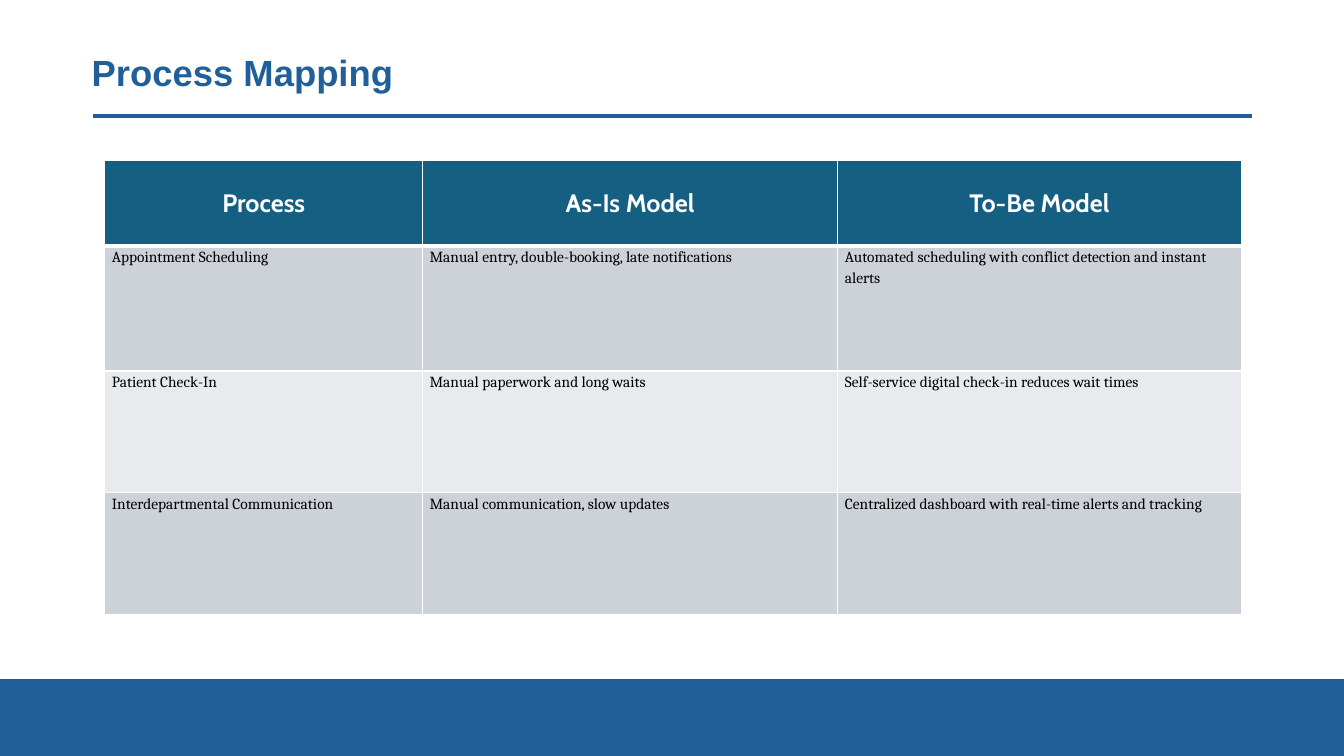
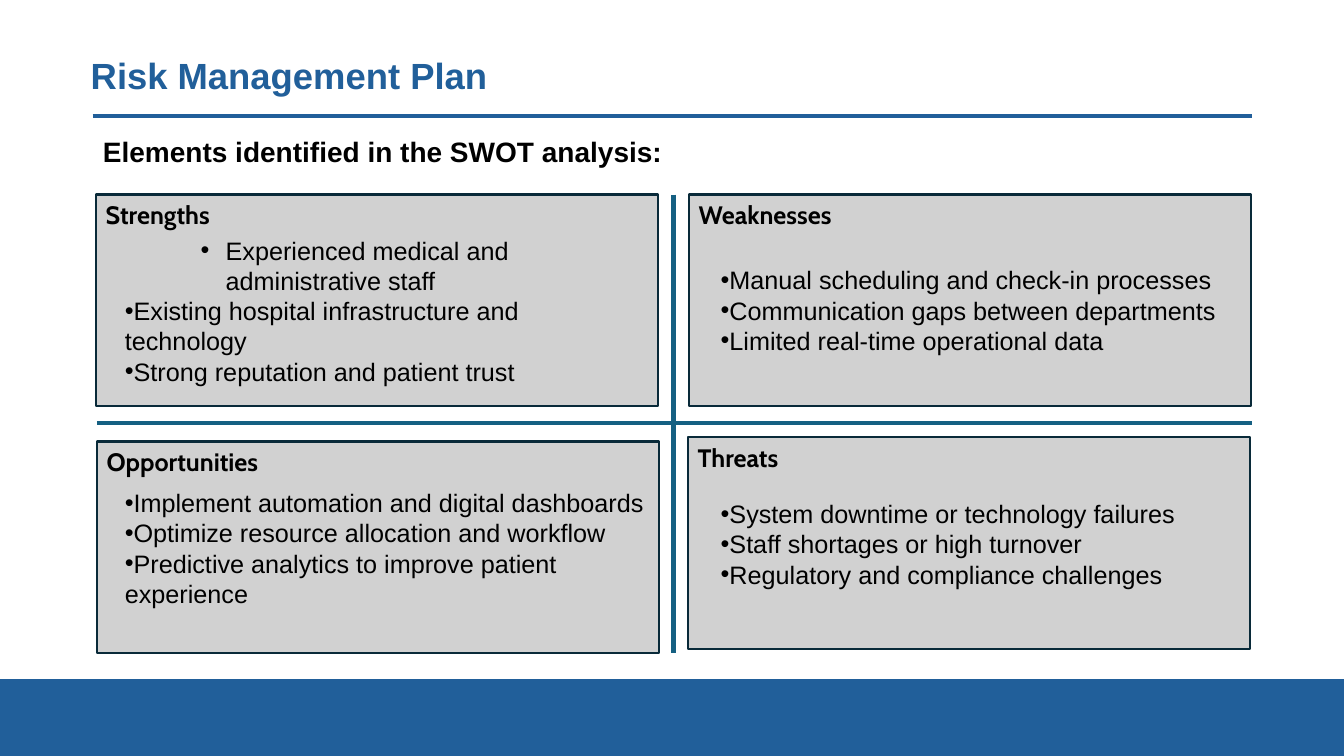
from lxml.etree import SubElement
from pptx import Presentation
from pptx.dml.color import RGBColor
from pptx.enum.shapes import MSO_CONNECTOR, MSO_SHAPE
from pptx.enum.text import MSO_ANCHOR, MSO_AUTO_SIZE, PP_ALIGN
from pptx.oxml.ns import qn
from pptx.util import Inches, Pt

BLUE = RGBColor(0x21, 0x5F, 0x9A)
TEAL = RGBColor(0x15, 0x60, 0x82)
NAVY = RGBColor(0x09, 0x2A, 0x39)
GRAY = RGBColor(0xD1, 0xD1, 0xD1)
ROW_DARK = RGBColor(0xCC, 0xD2, 0xD8)
ROW_LIGHT = RGBColor(0xE8, 0xEA, 0xED)
WHITE = RGBColor(0xFF, 0xFF, 0xFF)
BLACK = RGBColor(0x00, 0x00, 0x00)

TITLE_AND_BODY, TITLE_ONLY = 1, 5

PROCESSES = [
    ("Process", "As-Is Model", "To-Be Model"),
    ("Appointment Scheduling", "Manual entry, double-booking, late notifications",
     "Automated scheduling with conflict detection and instant alerts"),
    ("Patient Check-In", "Manual paperwork and long waits",
     "Self-service digital check-in reduces wait times"),
    ("Interdepartmental Communication", "Manual communication, slow updates",
     "Centralized dashboard with real-time alerts and tracking"),
]

# Each entry: heading, panel corner, list box within the panel, items, whether the first item is indented.
SWOT = [
    ("Strengths", (0.95, 1.93), (0.19, 0.34, 5.18, 1.62),
     ["Experienced medical and administrative staff",
      "Existing hospital infrastructure and technology",
      "Strong reputation and patient trust"], True),
    ("Opportunities", (0.96, 4.38), (0.18, 0.4, 5.54, 1.31),
     ["Implement automation and digital dashboards",
      "Optimize resource allocation and workflow",
      "Predictive analytics to improve patient experience"], False),
    ("Weaknesses", (6.83, 1.93), (0.22, 0.64, 5.16, 1.01),
     ["Manual scheduling and check-in processes",
      "Communication gaps between departments",
      "Limited real-time operational data"], False),
    ("Threats", (6.82, 4.34), (0.23, 0.55, 5.16, 1.01),
     ["System downtime or technology failures",
      "Staff shortages or high turnover",
      "Regulatory and compliance challenges"], False),
]


def place(shape, box):
    """Move and size a shape to a box given in inches."""
    shape.left, shape.top, shape.width, shape.height = map(Inches, box)


def style(paragraph, face, size, color, bold=False):
    """Set the font of a whole paragraph."""
    font = paragraph.font
    font.name, font.size, font.bold = face, Pt(size), bold
    font.color.rgb = color


def set_bullet(paragraph, char=None, margin=0, hanging=0):
    """Give a paragraph its bullet, or none, and its indents."""
    properties = paragraph._p.get_or_add_pPr()
    properties.set("marL", str(Inches(margin)))
    properties.set("indent", str(-Inches(hanging)))
    if char:
        SubElement(properties, qn("a:buFont"), typeface="Arial")
        SubElement(properties, qn("a:buChar"), char=char)
    else:
        SubElement(properties, qn("a:buNone"))


def add_rule(slide, start, end, color):
    """Draw a straight 3 pt line without shadow."""
    rule = slide.shapes.add_connector(
        MSO_CONNECTOR.STRAIGHT, *map(Inches, start + end))
    rule.line.color.rgb = color
    rule.line.width = Pt(3)
    SubElement(rule._element.spPr, qn("a:effectLst"))


def add_panel(slide, box, fill, outline):
    """Draw a filled rectangle with a 1.5 pt outline."""
    panel = slide.shapes.add_shape(MSO_SHAPE.RECTANGLE, *map(Inches, box))
    panel.shadow.inherit = False
    panel.fill.solid()
    panel.fill.fore_color.rgb = fill
    panel.line.color.rgb = outline
    panel.line.width = Pt(1.5)
    return panel


def fill_placeholder(placeholder, box, text, size, color, anchor):
    """Place a placeholder and set its single bold line."""
    place(placeholder, box)
    frame = placeholder.text_frame
    frame.text = text
    frame.auto_size = MSO_AUTO_SIZE.NONE
    frame.vertical_anchor = anchor
    line = frame.paragraphs[0]
    line.alignment = PP_ALIGN.LEFT
    line.line_spacing = 0.9
    line.space_before = Pt(0)
    set_bullet(line)
    style(line, "Arial", size, color, bold=True)


def start_slide(deck, layout, title, corner):
    """Add a slide with the shared band, title and title rule."""
    slide = deck.slides.add_slide(deck.slide_layouts[layout])
    add_panel(slide, (0, 6.75, 13.33, 0.75), BLUE, BLUE)
    add_rule(slide, (0.92, 1.15), (12.42, 1.15), BLUE)
    fill_placeholder(slide.shapes.title, (*corner, 11.5, 0.75), title, 26, BLUE,
                     MSO_ANCHOR.MIDDLE)
    return slide


def set_borders(cell, **widths):
    """Give a cell white borders of the given widths in points."""
    properties = cell._tc.get_or_add_tcPr()
    for side in "LRTB":
        border = SubElement(properties, qn(f"a:ln{side}"),
                            w=str(Pt(widths.get(side, 1))))
        fill = SubElement(border, qn("a:solidFill"))
        SubElement(fill, qn("a:srgbClr"), val=str(WHITE))


def format_header(cell):
    """Format a column heading."""
    set_borders(cell, B=3)
    cell.vertical_anchor = MSO_ANCHOR.MIDDLE
    heading = cell.text_frame.paragraphs[0]
    heading.alignment = PP_ALIGN.CENTER
    style(heading, "Cabin", 18, WHITE, bold=True)


def format_entry(cell, row):
    """Format a cell below the headings."""
    set_borders(cell, T=3 if row == 1 else 1)
    cell.margin_left = cell.margin_right = Inches(0.07)
    cell.margin_top = cell.margin_bottom = 0
    entry = cell.text_frame.paragraphs[0]
    entry.line_spacing = 1.15
    entry.space_after = Pt(10)
    style(entry, "Cambria", 11, BLACK)


def add_process_table(slide, box):
    """Add the comparison of current and future processes."""
    table = slide.shapes.add_table(
        len(PROCESSES), len(PROCESSES[0]), *map(Inches, box)).table
    for column, width in zip(table.columns, (3.15, 4.12, 4)):
        column.width = Inches(width)
    for row, height in zip(table.rows, (0.85, 1.24, 1.21, 1.21)):
        row.height = Inches(height)
    for r, texts in enumerate(PROCESSES):
        for c, text in enumerate(texts):
            cell = table.cell(r, c)
            cell.text = text
            if r == 0:
                format_header(cell)
            else:
                format_entry(cell, r)
            cell.fill.solid()
            cell.fill.fore_color.rgb = (
                TEAL if r == 0 else ROW_DARK if r % 2 else ROW_LIGHT)


def add_quadrant(slide, heading, corner, list_box, items, indent_first):
    """Add one SWOT panel with its heading and list."""
    left, top = corner
    panel = add_panel(slide, (left, top, 5.58, 2.1), GRAY, NAVY)
    panel.text_frame.text = heading
    panel.text_frame.vertical_anchor = MSO_ANCHOR.TOP
    label = panel.text_frame.paragraphs[0]
    label.alignment = PP_ALIGN.LEFT
    style(label, "Cabin", 18, BLACK, bold=True)

    dx, dy, width, height = list_box
    frame = slide.shapes.add_textbox(
        *map(Inches, (left + dx, top + dy, width, height))).text_frame
    frame.word_wrap = True
    frame.vertical_anchor = MSO_ANCHOR.MIDDLE
    frame.text = "\n".join(items)
    for i, item in enumerate(frame.paragraphs):
        if indent_first and i == 0:
            item.level = 2
            set_bullet(item, "•", margin=1, hanging=0.25)
        else:
            set_bullet(item, "•")
        style(item, "Arial", 18, BLACK)


def build_process_slide(deck):
    """Build the process mapping slide."""
    slide = start_slide(deck, TITLE_ONLY, "Process Mapping", (0.81, 0.37))
    add_process_table(slide, (1.04, 1.59, 11.27, 4.51))


def build_risk_slide(deck):
    """Build the SWOT slide."""
    slide = start_slide(deck, TITLE_AND_BODY, "Risk Management Plan", (0.8, 0.4))
    fill_placeholder(slide.placeholders[1], (0.92, 1.32, 11.5, 0.44),
                     "Elements identified in the SWOT analysis:", 20, BLACK,
                     MSO_ANCHOR.TOP)
    add_rule(slide, (6.68, 1.93), (6.68, 6.48), TEAL)
    add_rule(slide, (0.96, 4.2), (12.42, 4.2), TEAL)
    for quadrant in SWOT:
        add_quadrant(slide, *quadrant)


def main():
    """Build and save the presentation."""
    deck = Presentation()
    deck.slide_width, deck.slide_height = Inches(13.33), Inches(7.5)
    build_process_slide(deck)
    build_risk_slide(deck)
    deck.save("out.pptx")


if __name__ == "__main__":
    main()
